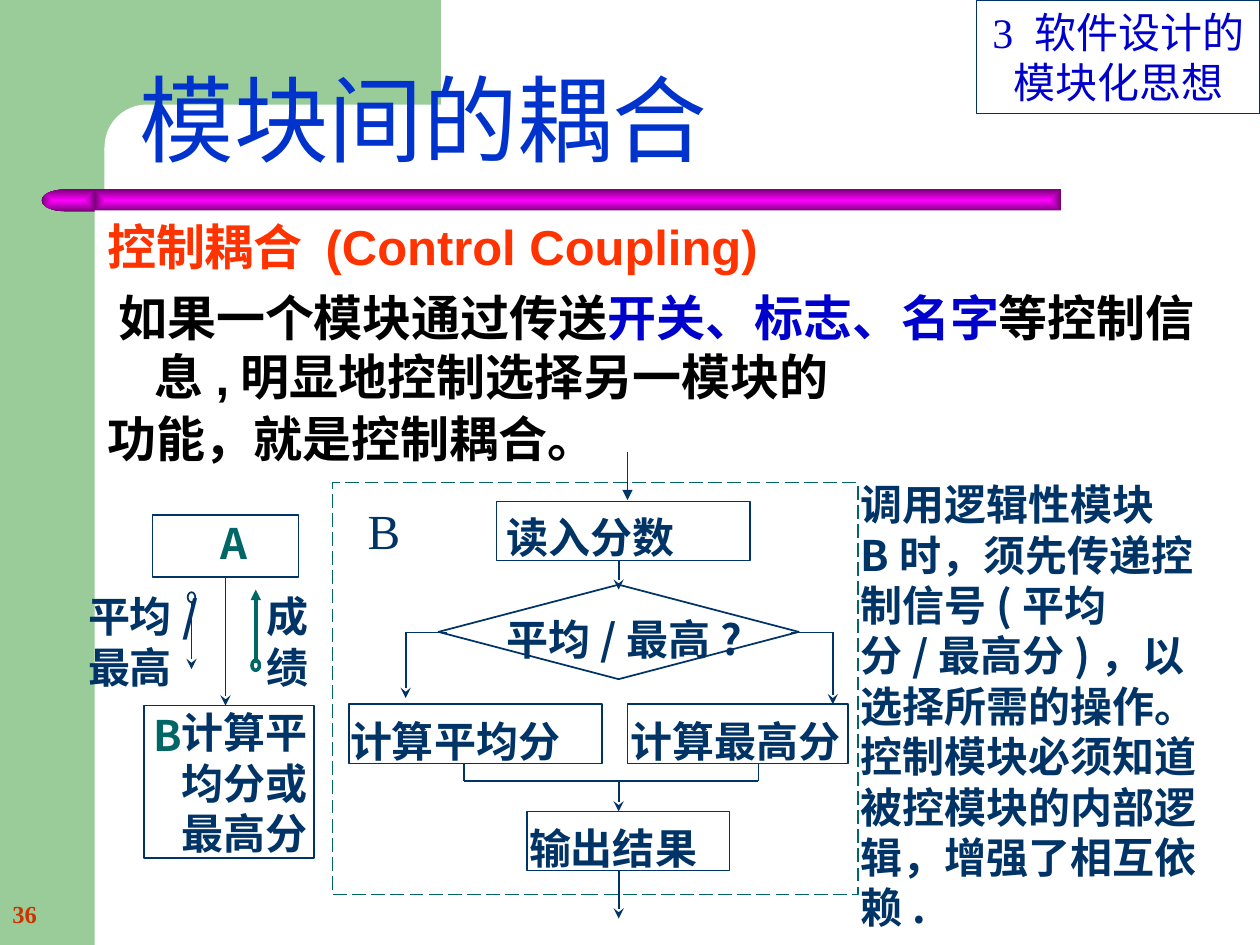
from lxml import etree
from pptx import Presentation
from pptx.dml.color import RGBColor
from pptx.enum.dml import MSO_LINE
from pptx.enum.shapes import MSO_CONNECTOR, MSO_SHAPE
from pptx.enum.text import MSO_ANCHOR, MSO_AUTO_SIZE, PP_ALIGN
from pptx.oxml.ns import qn
from pptx.util import Pt

PX = 9144
RECT, ROUND, DELAY = MSO_SHAPE.RECTANGLE, MSO_SHAPE.ROUNDED_RECTANGLE, MSO_SHAPE.FLOWCHART_DELAY
DIAMOND, OVAL, STRAIGHT = MSO_SHAPE.DIAMOND, MSO_SHAPE.OVAL, MSO_CONNECTOR.STRAIGHT
TOP, MIDDLE = MSO_ANCHOR.TOP, MSO_ANCHOR.MIDDLE
LEFT, CENTER = PP_ALIGN.LEFT, PP_ALIGN.CENTER
GROW, FIXED = MSO_AUTO_SIZE.SHAPE_TO_FIT_TEXT, MSO_AUTO_SIZE.NONE
LONG_DASH = MSO_LINE.LONG_DASH

HAN = "Noto Sans CJK SC"
THEME = {
    "green": "99CC99", "white": "FFFFFF", "navy": "003366", "teal": "006666",
    "bar_light": "FF00FF", "bar_dark": "760076",
    "title": (54, HAN, "0033CC", False),
    "heading": (28, "Arial", "FF3300", True),
    "body": (28, "Arial", "000000", True),
    "accent": (28, "Arial", "0000CC", True),
    "chapter": (24, "Times New Roman", "0000CC", False),
    "number": (14, "Times New Roman", "CC3300", True),
    "label": (24, HAN, "003366", True),
    "module": (24, HAN, "006666", True),
    "frame": (28, "Times New Roman", "003366", False),
}


def write(frame, paragraphs, frame_format, para_format):
    for name, value in frame_format.items():
        setattr(frame, name, value)
    for index, pieces in enumerate(paragraphs):
        para = frame.paragraphs[0] if index == 0 else frame.add_paragraph()
        for name, value in para_format.items():
            setattr(para, name, value)
        for text, style in pieces:
            size, face, color, bold = THEME[style]
            span = para.add_run()
            span.text = text
            font_format = {"size": Pt(size), "name": face, "bold": bold}
            for name, value in font_format.items():
                setattr(span.font, name, value)
            span.font.color.rgb = RGBColor.from_string(color)
            latin = span.font._element.find(qn("a:latin"))
            east = etree.Element(qn("a:ea"), typeface=HAN)
            latin.addnext(east)


def add_box(kind, place, fill=None, line=None, width=1):
    box = page.shapes.add_shape(kind, *[value * PX for value in place])
    box.shadow.inherit = False
    if fill:
        box.fill.solid()
        box.fill.fore_color.rgb = RGBColor.from_string(THEME[fill])
    else:
        box.fill.background()
    if line:
        box.line.color.rgb = RGBColor.from_string(THEME[line])
        box.line.width = Pt(width)
    else:
        box.line.fill.background()
    return box


deck = Presentation()
deck.slide_width, deck.slide_height = 1000 * PX, 750 * PX
page = deck.slides.add_slide(deck.slide_layouts[1])
title, body = page.shapes.title, page.placeholders[1]

add_box(RECT, (0, 0, 83, 750), "green")
add_box(RECT, (75, 0, 275, 117), "green")
add_box(ROUND, (83, 83, 558, 67), "white").adjustments[0] = 0.5

bar = add_box(ROUND, (75, 150, 767, 18))
bar.adjustments[0] = 0
cap = add_box(DELAY, (33, 150, 43, 18))
cap.element.spPr.find(qn("a:xfrm")).set("flipH", "1")
for part in (bar, cap):
    part.fill.gradient()
    for stop, name in zip(part.fill.gradient_stops, ("bar_light", "bar_dark")):
        stop.color.rgb = RGBColor.from_string(THEME[name])
    gradient = part.element.spPr.find(qn("a:gradFill"))
    gradient.remove(gradient.find(qn("a:lin")))
    path_fill = etree.SubElement(gradient, qn("a:path"), path="rect")
    etree.SubElement(path_fill, qn("a:fillToRect"), l="50000", t="50000", r="50000", b="50000")

number = page.shapes.add_textbox(0, 700 * PX, 208 * PX, 50 * PX)
write(number.text_frame, [[("36", "number")]],
      {"word_wrap": True, "vertical_anchor": MIDDLE}, {"alignment": LEFT})

for holder, place in ((body, (75, 167, 898, 583)), (title, (101, 34, 616, 109))):
    holder.left, holder.top, holder.width, holder.height = [value * PX for value in place]
    holder.element.getparent().append(holder.element)

body.fill.solid()
body.fill.fore_color.rgb = RGBColor.from_string(THEME["white"])
write(body.text_frame, [
    [("控制耦合 (Control Coupling)", "heading")],
    [(" 如果一个模块通过传送", "body"), ("开关、标志、名字", "accent"),
     ("等控制信息,明显地控制选择另一模块的", "body")],
    [("功能，就是控制耦合。", "body")],
], {"word_wrap": True, "auto_size": FIXED, "vertical_anchor": TOP},
    {"alignment": LEFT, "space_before": Pt(7)})
for para in body.text_frame.paragraphs:
    properties = para._p.get_or_add_pPr()
    properties.set("marL", str(38 * PX))
    properties.set("indent", str(-38 * PX))
    etree.SubElement(properties, qn("a:buNone"))
body.text_frame.paragraphs[2].line_spacing = 0.85

write(title.text_frame, [[("模块间的耦合", "title")]],
      {"word_wrap": True, "auto_size": GROW, "vertical_anchor": MIDDLE},
      {"alignment": LEFT, "line_spacing": 1.1, "space_before": Pt(13.5)})

chapter = add_box(RECT, (775, 0, 225, 90), line="navy", width=0.75)
write(chapter.text_frame, [[("3 软件设计的模块化思想", "chapter")]],
      {"word_wrap": True, "auto_size": GROW, "vertical_anchor": TOP}, {"alignment": CENTER})

add_box(RECT, (264, 383, 417, 327), line="teal").line.dash_style = LONG_DASH
caller = add_box(RECT, (121, 409, 116, 49), line="navy")
for kind, place, color, width in (
    (RECT, (394, 398, 201, 47), "navy", 1),
    (RECT, (418, 644, 161, 47), "navy", 1),
    (RECT, (277, 559, 201, 47), "navy", 1),
    (RECT, (498, 559, 175, 47), "navy", 1),
    (DIAMOND, (348, 464, 286, 75), "navy", 1),
    (RECT, (114, 560, 135, 121), "navy", 1),
    (OVAL, (149, 470, 6, 8), "navy", 1),
    (OVAL, (200, 524, 6, 8), "teal", 2),
):
    add_box(kind, place, line=color, width=width)

for place, wrap, style, lines in (
    ((673, 375, 291, 370), True, "label",
     ["调用逻辑性模块 B时，须先传递控制信号(平均分/最高分)，以选择所需的操作。"
      "控制模块必须知道被控模块的内部逻辑，增强了相互依赖."]),
    ((392, 401, 154, 50), False, "label", ["读入分数"]),
    ((410, 648, 168, 50), True, "label", ["输出结果"]),
    ((268, 563, 257, 50), True, "label", ["计算平均分"]),
    ((491, 563, 187, 50), False, "label", ["计算最高分"]),
    ((392, 482, 210, 90), True, "label", ["平均/最高?"]),
    ((282, 392, 46, 57), False, "frame", ["B"]),
    ((165, 406, 40, 50), False, "module", ["A"]),
    ((134, 556, 129, 130), True, "label", ["计算平均分或最高分"]),
    ((112, 558, 40, 50), False, "module", ["B"]),
    ((60, 464, 115, 90), False, "label", ["平均/", "最高"]),
    ((202, 464, 54, 90), False, "label", ["成", "绩"]),
):
    label = page.shapes.add_textbox(*[value * PX for value in place])
    write(label.text_frame, [[(text, style)] for text in lines],
          {"word_wrap": wrap, "auto_size": GROW, "vertical_anchor": TOP}, {"alignment": LEFT})

for ends, head, color, width, source in (
    ((498, 359, 498, 397), "triangle", "navy", 1, None),
    ((491, 691, 491, 729), "stealth", "navy", 1, None),
    ((491, 445, 491, 468), "stealth", "navy", 1, None),
    ((322, 502, 322, 554), "stealth", "navy", 1, None),
    ((661, 502, 661, 559), "stealth", "navy", 1, None),
    ((322, 502, 355, 502), None, "navy", 1, None),
    ((628, 502, 661, 502), None, "navy", 1, None),
    ((368, 620, 602, 620), None, "navy", 1, None),
    ((368, 606, 368, 620), None, "navy", 1, None),
    ((602, 606, 602, 620), None, "navy", 1, None),
    ((491, 620, 491, 644), "stealth", "navy", 1, None),
    ((179, 458, 179, 560), "stealth", "navy", 1, caller),
    ((152, 478, 152, 531), "stealth", "navy", 1, None),
    ((203, 526, 203, 468), "triangle", "teal", 2, None),
):
    link = page.shapes.add_connector(STRAIGHT, *[value * PX for value in ends])
    link.line.color.rgb = RGBColor.from_string(THEME[color])
    link.line.width = Pt(width)
    properties = link.element.spPr
    if head:
        etree.SubElement(properties.find(qn("a:ln")), qn("a:tailEnd"), type=head)
    etree.SubElement(properties, qn("a:effectLst"))
    if source:
        link.begin_connect(source, 2)

deck.save("out.pptx")
